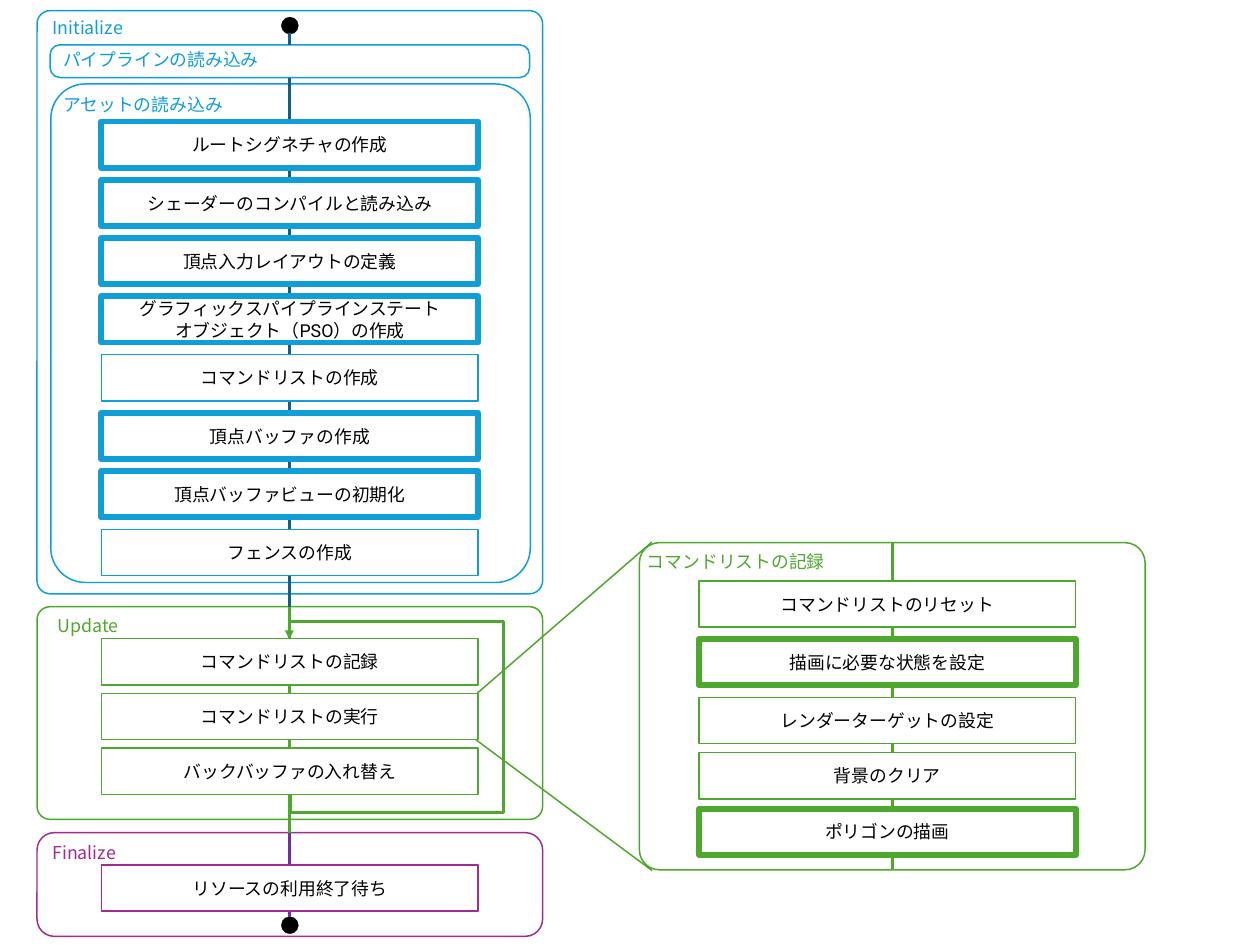
from lxml.etree import SubElement
from pptx import Presentation
from pptx.dml.color import RGBColor
from pptx.enum.shapes import MSO_CONNECTOR as CONN, MSO_SHAPE as SHAPE
from pptx.enum.text import MSO_ANCHOR, PP_ALIGN
from pptx.oxml.ns import qn
from pptx.util import Pt

BLUE = RGBColor(0x0F, 0x9E, 0xD5)
TEAL = RGBColor(0x15, 0x60, 0x82)
GREEN = RGBColor(0x4E, 0xA7, 0x2E)
MAGENTA = RGBColor(0xA0, 0x2B, 0x93)
PURPLE = RGBColor(0x70, 0x30, 0xA0)
BLACK = RGBColor(0, 0, 0)
WHITE = RGBColor(0xFF, 0xFF, 0xFF)
NOTO, ROBOTO = "Noto Sans CJK JP", "Roboto"
THIN, FLOW, THICK = 1.5, 3, 6
MAIN_X, DETAIL_X, DETAIL_STEP_X = 293.5, 903.5, 898.5
FRAME_W, INNER_W, STEP_W, STEP_H, DOT = 512, 485.5, 381.6, 46.8, 17.3

prs = Presentation()
prs.slide_width, prs.slide_height = Pt(1275.84), Pt(959.76)
s = prs.slides.add_slide(prs.slide_layouts[6])


def add_box(kind, center_x, top, width, height, color, weight=THIN, fill=WHITE):
    """Add a shape centred on center_x; a fill of None leaves it open."""
    sp = s.shapes.add_shape(kind, Pt(center_x - width / 2), Pt(top), Pt(width), Pt(height))
    sp.shadow.inherit = False
    if fill is None:
        sp.fill.background()
    else:
        sp.fill.solid()
        sp.fill.fore_color.rgb = fill
    sp.line.color.rgb = color
    sp.line.width = Pt(weight)
    return sp


def write(sp, text, font, color, align):
    tf = sp.text_frame
    tf.word_wrap = True
    p = tf.paragraphs[0]
    p.text = text
    p.alignment = align
    for r in p.runs:
        r.font.size = Pt(18)
        r.font.name = font
        r.font.color.rgb = color
        SubElement(r.font._element, qn("a:ea")).set("typeface", NOTO)


# Phase frames
frames = {}
for name, x, top, width, height, corner, color, fill in [
    ("update", MAIN_X, 614.2, FRAME_W, 215.3, 0.061, GREEN, WHITE),
    ("finalize", MAIN_X, 843, FRAME_W, 105, 0.167, MAGENTA, WHITE),
    ("initialize", MAIN_X, 10.8, FRAME_W, 590.4, 0.026, BLUE, WHITE),
    ("detail", DETAIL_X, 549.4, FRAME_W, 331.2, 0.061, GREEN, WHITE),
    ("pipeline", MAIN_X, 45.4, INNER_W, 33.1, 0.301, BLUE, WHITE),
    ("assets", MAIN_X + 0.7, 85, INNER_W, 504.7, 0.072, BLUE, None),
]:
    frames[name] = add_box(SHAPE.ROUNDED_RECTANGLE, x, top, width, height, color, fill=fill)
    frames[name].adjustments[0] = corner

# Start and end dots
start_dot, end_dot = [add_box(SHAPE.OVAL, MAIN_X, top, DOT, DOT, BLACK, 0.25, BLACK)
                      for top in (17.3, 928.1)]

# Flow lines and the two lines that open the detail frame; joins are (shape, side)
lines = []
for color, weight, x1, y1, x2, y2, begin, end in [
    (TEAL, FLOW, MAIN_X, 33.8, MAIN_X, 45.4, None, (frames["pipeline"], 0)),
    (TEAL, FLOW, MAIN_X, 78.5, MAIN_X, 614.2, (frames["pipeline"], 2), (frames["update"], 0)),
    (GREEN, FLOW, MAIN_X, 843, MAIN_X, 614.2, (frames["finalize"], 0), (frames["update"], 0)),
    (PURPLE, FLOW, MAIN_X, 928.1, MAIN_X, 843, (end_dot, 0), (frames["finalize"], 0)),
    (GREEN, FLOW, DETAIL_X, 880.6, DETAIL_X, 549.4, (frames["detail"], 2), (frames["detail"], 0)),
    (GREEN, THIN, 483, 702, 660.2, 548.7, None, None),
    (GREEN, THIN, 481.7, 748.8, 660.2, 881.3, None, None),
]:
    c = s.shapes.add_connector(CONN.STRAIGHT, Pt(x1), Pt(y1), Pt(x2), Pt(y2))
    if begin:
        c.begin_connect(*begin)
    if end:
        c.end_connect(*end)
    c.line.color.rgb = color
    c.line.width = Pt(weight)
    lines.append(c)

# Frame headings
for text, left, top, width, font, color in [
    ("Initialize", 46, 13.7, 124.6, NOTO, BLUE),
    ("パイプラインの読み込み", 56.9, 45.4, 270, NOTO, BLUE),
    ("アセットの読み込み", 56.9, 91.4, 270, NOTO, BLUE),
    ("Update", 51.1, 619.2, 270, NOTO, GREEN),
    ("Finalize", 46, 848.2, 109.4, NOTO, MAGENTA),
    ("コマンドリストの記録", 648, 554.4, 216, ROBOTO, GREEN),
]:
    heading = s.shapes.add_textbox(Pt(left), Pt(top), Pt(width), Pt(28.8))
    write(heading, text, font, color, PP_ALIGN.LEFT)

# Steps of each phase: centre, colour, tops, (text, line weight)
steps = {}
for phase, x, color, tops, items in [
    ("initialize", MAIN_X, BLUE, [123 + 59 * i for i in range(8)], [
        ("ルートシグネチャの作成", THICK),
        ("シェーダーのコンパイルと読み込み", THICK),
        ("頂点入力レイアウトの定義", THICK),
        ("グラフィックスパイプラインステート\nオブジェクト（PSO）の作成", THICK),
        ("コマンドリストの作成", THIN),
        ("頂点バッファの作成", THICK),
        ("頂点バッファビューの初期化", THICK),
        ("フェンスの作成", THIN),
    ]),
    ("update", MAIN_X, GREEN, [646.6 + 55.4 * i for i in range(3)], [
        ("コマンドリストの記録", THIN),
        ("コマンドリストの実行", THIN),
        ("バックバッファの入れ替え", THIN),
    ]),
    ("finalize", MAIN_X, MAGENTA, [875.5], [("リソースの利用終了待ち", THIN)]),
    ("detail", DETAIL_STEP_X, GREEN, [588, 647, 706, 762, 818.6], [
        ("コマンドリストのリセット", THIN),
        ("描画に必要な状態を設定", THICK),
        ("レンダーターゲットの設定", THIN),
        ("背景のクリア", THIN),
        ("ポリゴンの描画", THICK),
    ]),
]:
    steps[phase] = []
    for top, (text, weight) in zip(tops, items):
        step = add_box(SHAPE.RECTANGLE, x, top, STEP_W, STEP_H, color, weight)
        step.text_frame.vertical_anchor = MSO_ANCHOR.MIDDLE
        write(step, text, ROBOTO, BLACK, PP_ALIGN.CENTER)
        steps[phase].append(step)

# Update loop: from the last step round the right side back to the first
first, last = steps["update"][0], steps["update"][-1]
loop = s.shapes.add_connector(CONN.ELBOW, 0, 0, 0, 0)
loop.begin_connect(last, 2)
loop.end_connect(first, 0)
rise = last.top + last.height - first.top
loop.left, loop.top = Pt(MAIN_X) - rise // 2, first.top + rise // 2
loop.width, loop.height = rise, Pt(1)
xfrm = loop._element.spPr.get_or_add_xfrm()
xfrm.flipH, xfrm.flipV = True, False
xfrm.set("rot", "5400000")
geom = loop._element.spPr.find(qn("a:prstGeom"))
geom.set("prst", "bentConnector5")
for i, value in enumerate((-11400, -21712500, 111400), 1):
    guide = SubElement(geom.find(qn("a:avLst")), qn("a:gd"))
    guide.set("name", f"adj{i}")
    guide.set("fmla", f"val {value}")
loop.line.color.rgb = GREEN
loop.line.width = Pt(FLOW)
SubElement(loop._element.spPr.find(qn("a:ln")), qn("a:tailEnd")).set("type", "triangle")

for c in lines + [loop]:
    SubElement(c._element.spPr, qn("a:effectLst"))

prs.save("out.pptx")
